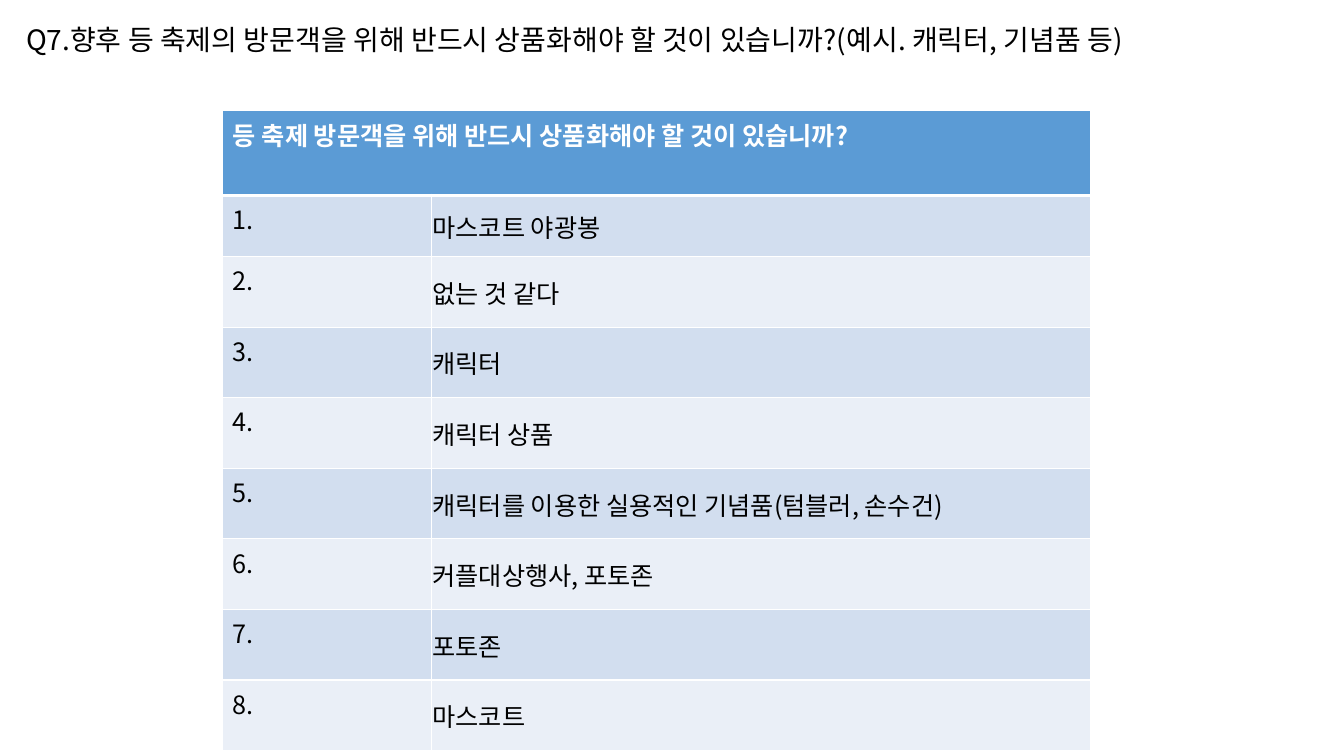
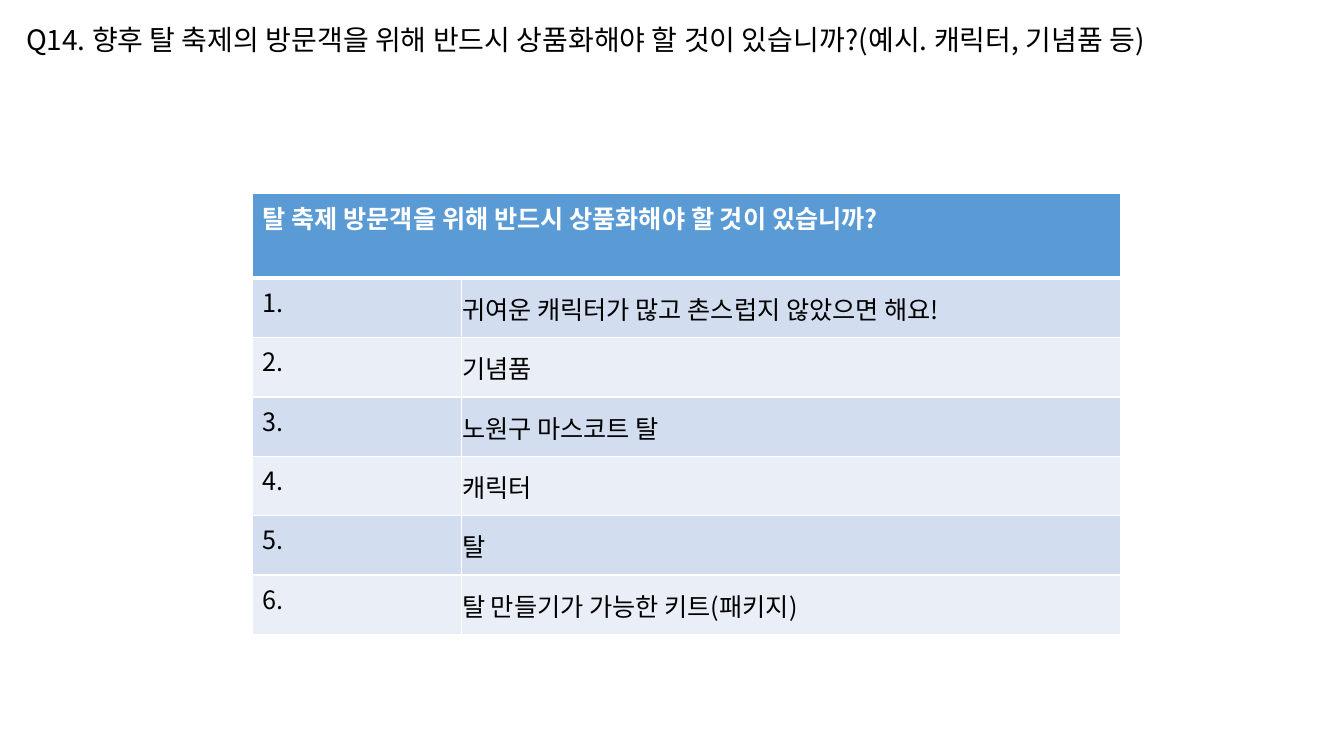
from lxml import etree
from pptx import Presentation
from pptx.dml.color import RGBColor
from pptx.enum import text
from pptx.oxml import ns
from pptx.util import Pt

FONT = "Noto Sans CJK KR"
BLACK, WHITE, HEADER_BLUE = "000000", "FFFFFF", "5B9BD5"
BANDS = ("D2DEEF", "EAEFF7")
COLUMN_WIDTHS = (149, 471)
HEADER_HEIGHT = 60.4


def rgb(value):
    return RGBColor.from_string(value)


def write(frame, wording, size, color=BLACK, bold=False):
    paragraph = frame.paragraphs[0]
    paragraph.text = wording
    font = paragraph.font
    font.size, font.bold, font.name = Pt(size), bold, FONT
    font.color.rgb = rgb(color)
    # Hangul takes the East Asian typeface
    properties = paragraph._p.pPr.find(ns.qn("a:defRPr"))
    etree.SubElement(properties, ns.qn("a:ea"), typeface=FONT)


def style_cell(cell, fill, top=1, bottom=1):
    properties = cell._tc.get_or_add_tcPr()
    for side, width in (("L", 1), ("R", 1), ("T", top), ("B", bottom)):
        line = etree.SubElement(properties, ns.qn("a:ln" + side), w=str(Pt(width)))
        solid = etree.SubElement(line, ns.qn("a:solidFill"))
        etree.SubElement(solid, ns.qn("a:srgbClr"), val=WHITE)
    cell.fill.solid()
    cell.fill.fore_color.rgb = rgb(fill)


def add_question(slide, left, top, width, height, wording):
    box = slide.shapes.add_textbox(Pt(left), Pt(top), Pt(width), Pt(height))
    box.text_frame.word_wrap = False
    box.text_frame.auto_size = text.MSO_AUTO_SIZE.SHAPE_TO_FIT_TEXT
    write(box.text_frame, wording, 20)


def add_answers(slide, left, top, heading, answers, row_heights):
    heights = [HEADER_HEIGHT, *row_heights]
    table = slide.shapes.add_table(
        len(heights), 2, Pt(left), Pt(top),
        Pt(sum(COLUMN_WIDTHS)), Pt(sum(heights))).table
    table.horz_banding = False
    for column, width in zip(table.columns, COLUMN_WIDTHS):
        column.width = Pt(width)
    for row, height in zip(table.rows, heights):
        row.height = Pt(height)

    # Heading across both columns
    header = table.cell(0, 0)
    header.merge(table.cell(0, 1))
    for cell in table.rows[0].cells:
        style_cell(cell, HEADER_BLUE, bottom=3)
    write(header.text_frame, heading, 18, WHITE, True)

    # Numbered answers
    for number, answer in enumerate(answers, 1):
        number_cell, answer_cell = table.rows[number].cells
        for cell in (number_cell, answer_cell):
            style_cell(cell, BANDS[(number - 1) % 2], top=3 if number == 1 else 1)
        answer_cell.vertical_anchor = text.MSO_ANCHOR.MIDDLE
        answer_cell.margin_left = answer_cell.margin_right = Pt(0.75)
        answer_cell.margin_top, answer_cell.margin_bottom = Pt(0.75), 0
        write(number_cell.text_frame, f"{number}.", 18)
        write(answer_cell.text_frame, answer, 18)


def add_survey_slide(deck, question, question_width, table_corner, heading,
                     answers, row_heights):
    slide = deck.slides.add_slide(deck.slide_layouts[6])
    add_answers(slide, *table_corner, heading, answers, row_heights)
    add_question(slide, 11.5, 12.2, question_width, 31.5, question)


def main():
    deck = Presentation()
    deck.slide_width, deck.slide_height = Pt(960), Pt(540)
    add_survey_slide(
        deck,
        "Q7.향후 등 축제의 방문객을 위해 반드시 상품화해야 할 것이 있습니까?(예시. 캐릭터, 기념품 등)",
        882, (159.2, 79.2),
        "등 축제 방문객을 위해 반드시 상품화해야 할 것이 있습니까?",
        ["마스코트 야광봉", "없는 것 같다", "캐릭터", "캐릭터 상품",
         "캐릭터를 이용한 실용적인 기념품(텀블러, 손수건)",
         "커플대상행사, 포토존", "포토존", "마스코트"],
        [43.7] + [50.4] * 7)
    add_survey_slide(
        deck,
        "Q14. 향후 탈 축제의 방문객을 위해 반드시 상품화해야 할 것이 있습니까?(예시. 캐릭터, 기념품 등)",
        906.5, (180.4, 138.4),
        "탈 축제 방문객을 위해 반드시 상품화해야 할 것이 있습니까?",
        ["귀여운 캐릭터가 많고 촌스럽지 않았으면 해요!", "기념품",
         "노원구 마스코트 탈", "캐릭터", "탈", "탈 만들기가 가능한 키트(패키지)"],
        [42.4] * 6)
    deck.save("out.pptx")


if __name__ == "__main__":
    main()
